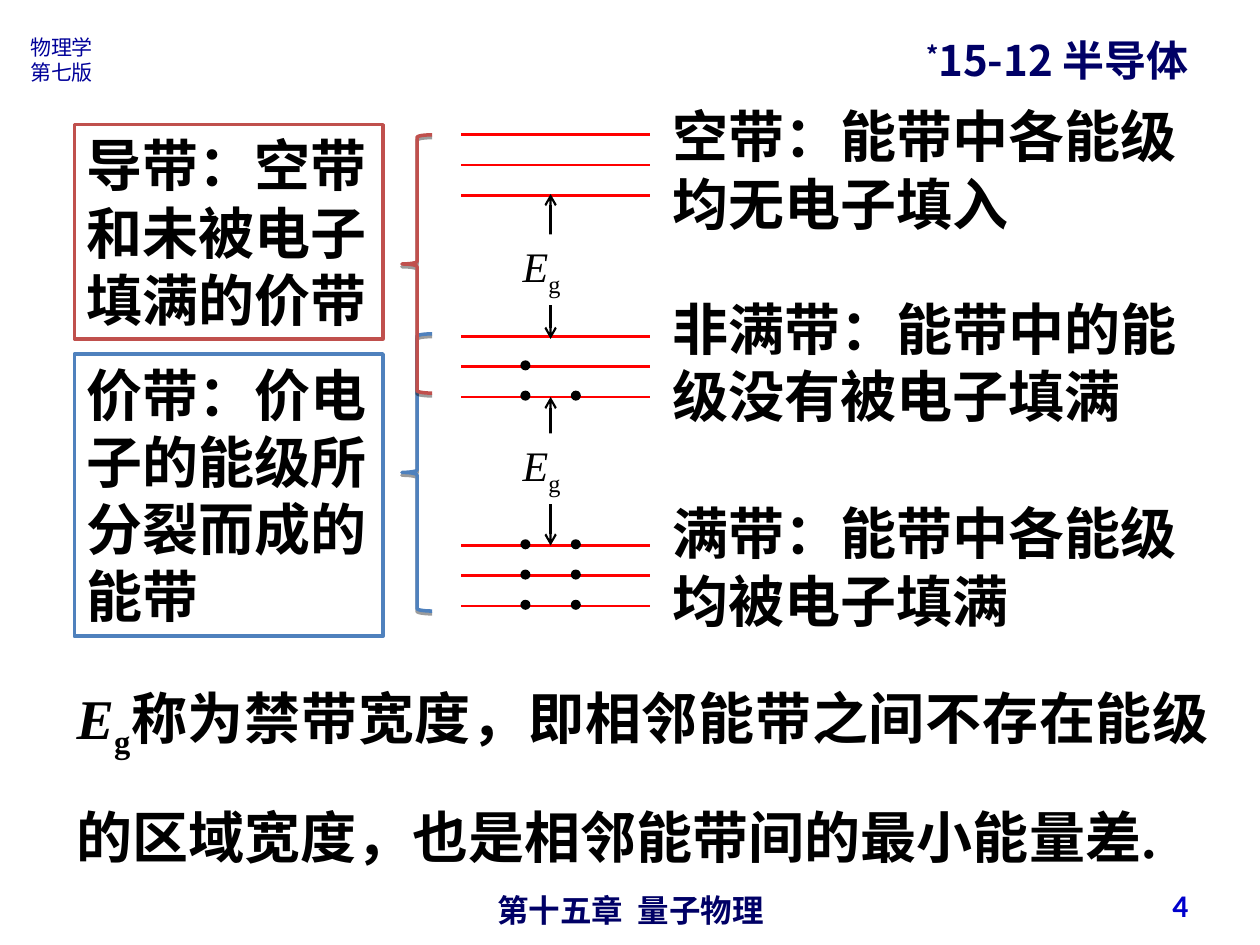
import pptx
import pptx.dml.color
import pptx.enum.shapes
import pptx.enum.text
import pptx.oxml
import pptx.oxml.ns
import pptx.util
from lxml import etree

Inches = pptx.util.Inches
Pt = pptx.util.Pt
ALIGN = pptx.enum.text.PP_ALIGN
ANCHOR = pptx.enum.text.MSO_ANCHOR
SHAPE = pptx.enum.shapes.MSO_SHAPE
qn = pptx.oxml.ns.qn

COLORS = {
    "black": "000000",
    "white": "FFFFFF",
    "level": "FF0000",
    "conduction": "C0504D",
    "valence": "4F81BD",
    "heading": "000066",
    "edition": "000099",
    "page": "0000CC",
}
CJK = "Noto Sans CJK SC"
SERIF = "Times New Roman"
STATEMENT = {"size": Pt(32), "name": SERIF, "bold": True}
SYMBOL = {"size": Pt(24), "name": SERIF}
HEADING = {"size": Pt(24), "name": CJK, "bold": True}
CHAPTER = {"size": Pt(18), "name": "Arial", "bold": True}
EDITION = {"size": Pt(12), "name": CJK, "bold": False}
PAGE = {"size": Pt(18), "name": "Calibri", "bold": True}

LEVEL_LEFT, LEVEL_RIGHT, LEVEL_STEP = 3.66, 5.16, 0.24
ELECTRON_X, ELECTRON_SIZE = (4.13, 4.53), 0.08
BANDS = [(1.07, (0, 0, 0)), (2.67, (0, 1, 2)), (4.33, (2, 2, 2))]
GAP_X = 4.37


def rgb(name):
    return pptx.dml.color.RGBColor.from_string(COLORS[name])


def set_attributes(target, values):
    for key, value in values.items():
        setattr(target, key, value)


def add_run(paragraph, text, style, color, baseline=0, italic=False):
    run = paragraph.add_run()
    run.text = text
    set_attributes(run.font, {**style, "italic": italic})
    run.font.color.rgb = rgb(color)
    properties = run.font._element
    if baseline:
        properties.set("baseline", str(baseline * 1000))
    etree.SubElement(properties, qn("a:ea")).set("typeface", CJK)


def write(shape, paragraphs, style, color="black", align=ALIGN.LEFT,
          spacing=None, anchor=ANCHOR.TOP):
    frame = shape.text_frame
    set_attributes(frame, {
        "word_wrap": True,
        "auto_size": pptx.enum.text.MSO_AUTO_SIZE.NONE,
        "vertical_anchor": anchor,
        "margin_left": Inches(0.1),
        "margin_right": Inches(0.1),
        "margin_top": Inches(0.05),
        "margin_bottom": Inches(0.05),
    })
    for index, pieces in enumerate(paragraphs):
        paragraph = frame.add_paragraph() if index else frame.paragraphs[0]
        set_attributes(paragraph, {
            "alignment": align,
            "space_before": Pt(0),
            "line_spacing": Pt(spacing) if spacing else None,
        })
        for text, *script in pieces:
            add_run(paragraph, text, style, color, *script)


def add_text(slide, box, paragraphs, style, **options):
    write(slide.shapes.add_textbox(*map(Inches, box)), paragraphs, style, **options)


def add_figure(slide, kind, box, fill=None, line=None):
    figure = slide.shapes.add_shape(kind, *map(Inches, box))
    figure.shadow.inherit = False
    if fill:
        figure.fill.solid()
        figure.fill.fore_color.rgb = rgb(fill)
    else:
        figure.fill.background()
    if line:
        figure.line.color.rgb = rgb(line)
        figure.line.width = Pt(2)
    else:
        figure.line.fill.background()
    return figure


def add_panel(slide, box, paragraphs, style, line=None, **options):
    panel = add_figure(slide, SHAPE.RECTANGLE, box, "white", line)
    write(panel, paragraphs, style, **options)


def add_brace(slide, top, height, color):
    brace = add_figure(slide, SHAPE.LEFT_BRACE, (3.19, top, 0.24, height), line=color)
    effects = brace._element.spPr.find(qn("a:effectLst"))
    effects.append(pptx.oxml.parse_xml(
        '<a:outerShdw xmlns:a="http://schemas.openxmlformats.org/drawingml/2006/main" '
        'blurRad="0" dist="20320" dir="5400000" rotWithShape="0">'
        '<a:srgbClr val="000000"><a:alpha val="38000"/></a:srgbClr></a:outerShdw>'))


def add_line(slide, start, end, color, width, arrows=False):
    line = slide.shapes.add_connector(
        pptx.enum.shapes.MSO_CONNECTOR.STRAIGHT, *map(Inches, (*start, *end)))
    line.line.color.rgb = rgb(color)
    line.line.width = Pt(width)
    if arrows:
        for tag in ("a:headEnd", "a:tailEnd"):
            etree.SubElement(line.line._get_or_add_ln(), qn(tag)).set("type", "arrow")
    etree.SubElement(line._element.spPr, qn("a:effectLst"))


def add_band(slide, top, electron_counts):
    for row, count in enumerate(electron_counts):
        y = top + row * LEVEL_STEP
        add_line(slide, (LEVEL_LEFT, y), (LEVEL_RIGHT, y), "level", 1.5)
        for x in ELECTRON_X[:count]:
            add_figure(slide, SHAPE.OVAL,
                       (x, y - 0.05, ELECTRON_SIZE, ELECTRON_SIZE), "black")


def add_gap(slide, top, bottom, label_top):
    add_line(slide, (GAP_X, bottom), (GAP_X, top), "black", 1.25, arrows=True)
    add_panel(slide, (4.05, label_top, 0.63, 0.56),
              [[("E", 0, True), ("g", -25)]], SYMBOL)


def add_heading(slide):
    heading = slide.shapes.title
    set_attributes(heading, {
        "left": Inches(7.25), "top": Inches(0.21),
        "width": Inches(2.58), "height": Inches(0.5),
    })
    write(heading, [[("*", 30), ("15-12 半导体",)]], HEADING,
          color="heading", spacing=30)


def main():
    deck = pptx.Presentation()
    deck.slide_width, deck.slide_height = Inches(10), Inches(7.5)
    slide = deck.slides.add_slide(deck.slide_layouts[5])
    add_heading(slide)
    add_text(slide, (0.14, 0.23, 0.72, 0.5), [[("物理学",)], [("第七版",)]],
             EDITION, color="edition", spacing=14.3)
    add_text(slide, (3.42, 7, 3.17, 0.29), [[("第十五章  量子物理",)]],
             CHAPTER, color="heading", align=ALIGN.CENTER, spacing=23)
    for band in BANDS:
        add_band(slide, *band)
    for top, width, definition in (
        (0.76, 4.22, "空带：能带中各能级均无电子填入"),
        (2.29, 4.55, "非满带：能带中的能级没有被电子填满"),
        (3.91, 4.3, "满带：能带中各能级均被电子填满"),
    ):
        add_text(slide, (5.24, top, width, 1.17), [[(definition,)]],
                 STATEMENT, spacing=38.4)
    add_brace(slide, 2.65, 2.2, "valence")
    for top, height, color, definition in (
        (0.99, 1.7, "conduction", "导带：空带和未被电子填满的价带"),
        (2.81, 2.24, "valence", "价带：价电子的能级所分裂而成的能带"),
    ):
        add_panel(slide, (0.59, top, 2.45, height), [[(definition,)]],
                  STATEMENT, line=color, spacing=38.4)
    add_gap(slide, 1.54, 2.69, 1.86)
    add_gap(slide, 3.15, 4.33, 3.44)
    add_panel(slide, (0.51, 5.11, 9.19, 1.81), [[
        ("E", 0, True), ("g", -25),
        ("称为禁带宽度，即相邻能带之间不存在能级的区域宽度，也是相邻能带间的最小能量差.",),
    ]], STATEMENT, align=ALIGN.JUSTIFY, spacing=62.9)
    add_brace(slide, 1.07, 2.05, "conduction")
    add_text(slide, (7.2, 6.98, 2.33, 0.4), [[("4",)]], PAGE,
             color="page", align=ALIGN.RIGHT, anchor=ANCHOR.MIDDLE)
    deck.save("out.pptx")


if __name__ == "__main__":
    main()
